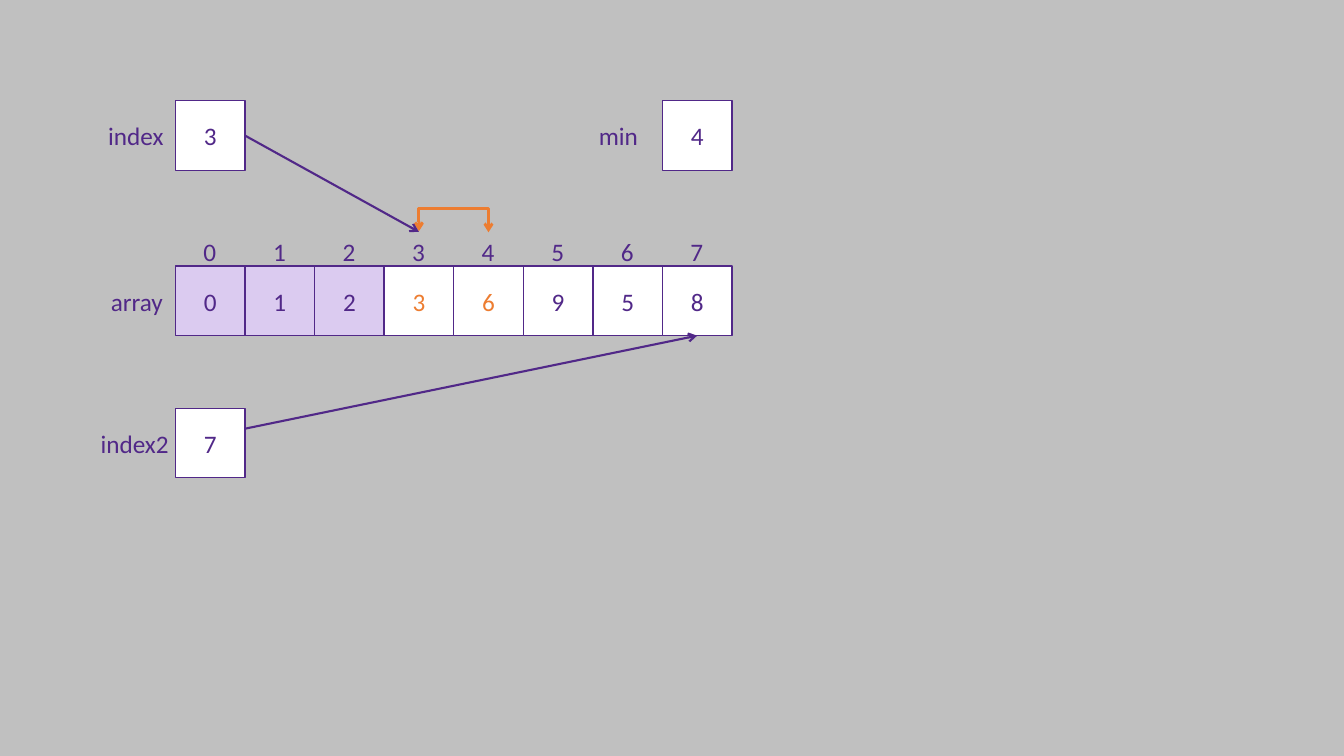
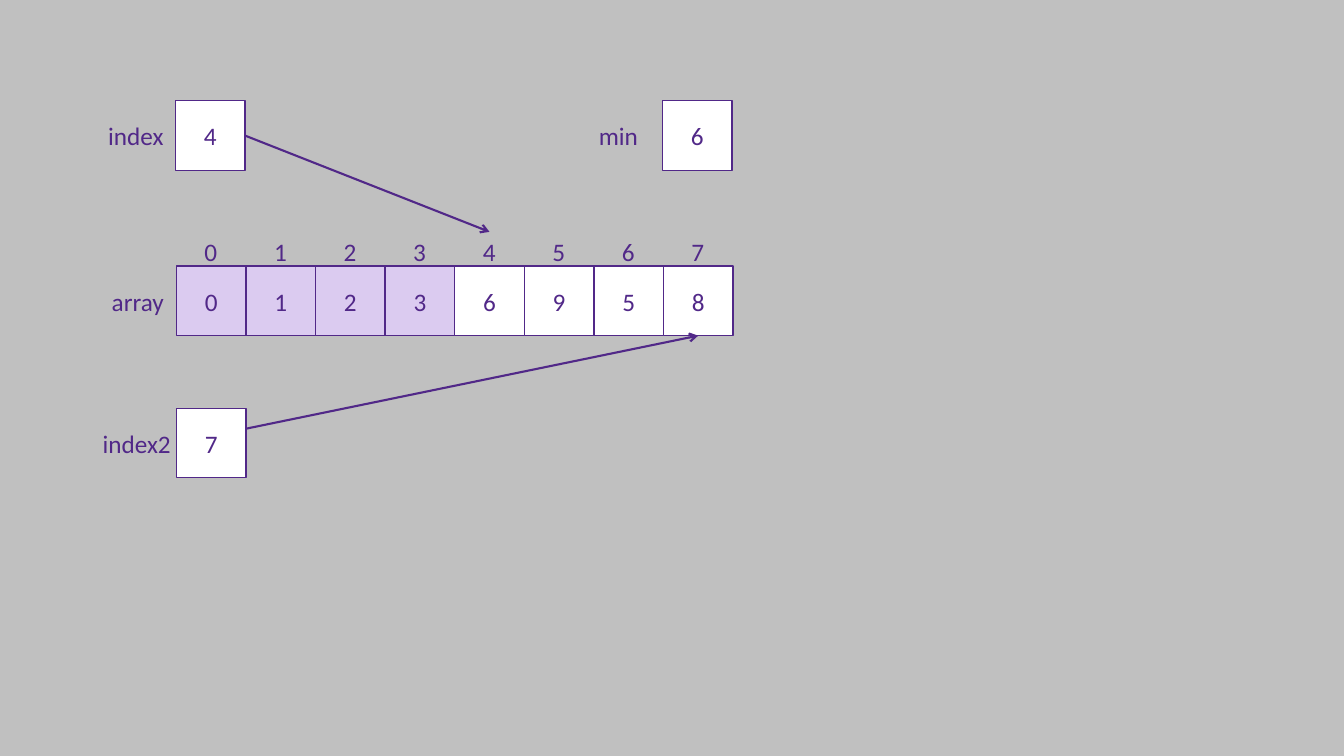
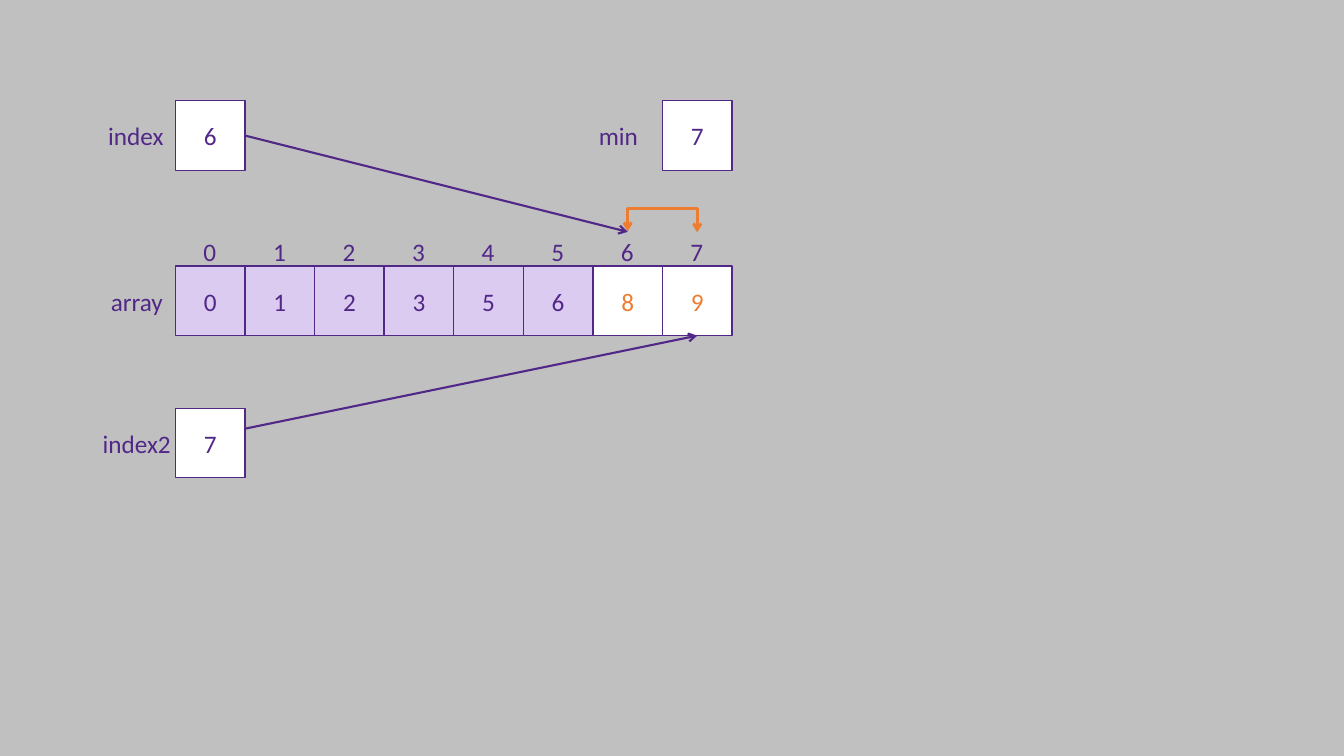
from lxml import etree
from pptx import Presentation
from pptx import util as u
from pptx.dml.color import RGBColor
from pptx.enum import shapes, text
from pptx.oxml import ns

COLORS = {
    "background": "C0C0C0",
    "ink": "512888",
    "sorted": "DBCBF0",
    "open": "FFFFFF",
    "swap": "ED7D31",
}
FONT = {"name": "Calibri", "size": u.Pt(18)}

# Shared grid: one array cell is the column unit
CELL = 0.69
GRID_LEFT = 1.74
LAST_COLUMN = 7
LABEL_HEIGHT = 0.4
ROWS = {"variables": 1, "numbers": 2.3, "array": 2.64, "index2": 4.05}

STEPS = [
    {"values": [0, 1, 2, 3, 6, 9, 5, 8], "index": 3, "min": 4,
     "swap": (3, 4), "array_left": 1.74, "index2_left": 0.9},
    {"values": [0, 1, 2, 3, 6, 9, 5, 8], "index": 4, "min": 6,
     "swap": (), "array_left": 1.75, "index2_left": 0.92},
    {"values": [0, 1, 2, 3, 5, 6, 8, 9], "index": 6, "min": 7,
     "swap": (6, 7), "array_left": 1.74, "index2_left": 0.92},
]


def color(name):
    return RGBColor.from_string(COLORS[name])


def column(left, number):
    """Left edge of a grid column; halves give cell centres."""
    return left + number * CELL


def write(shape, content, ink="ink", align=text.PP_ALIGN.LEFT):
    paragraph = shape.text_frame.paragraphs[0]
    paragraph.alignment = align
    run = paragraph.add_run()
    run.text = str(content)
    for name, value in FONT.items():
        setattr(run.font, name, value)
    run.font.color.rgb = color(ink)


def add_cell(parent, left, top, content, fill="open", ink="ink"):
    cell = parent.add_shape(shapes.MSO_SHAPE.RECTANGLE,
                            *map(u.Inches, (left, top, CELL, CELL)))
    cell.shadow.inherit = False
    cell.fill.solid()
    cell.fill.fore_color.rgb = color(fill)
    cell.line.color.rgb = color("ink")
    cell.line.width = u.Pt(1)
    cell.text_frame.vertical_anchor = text.MSO_ANCHOR.MIDDLE
    write(cell, content, ink, text.PP_ALIGN.CENTER)


def add_label(parent, left, top, width, content, wrap=False,
              align=text.PP_ALIGN.LEFT):
    label = parent.add_textbox(*map(u.Inches, (left, top, width, LABEL_HEIGHT)))
    frame_format = {"word_wrap": wrap,
                    "auto_size": text.MSO_AUTO_SIZE.SHAPE_TO_FIT_TEXT}
    for name, value in frame_format.items():
        setattr(label.text_frame, name, value)
    write(label, content, align=align)


def add_arrow(parent, start, end, ink="ink", width=1.5, ends=("tailEnd",),
              kind=shapes.MSO_CONNECTOR.STRAIGHT):
    arrow = parent.add_connector(kind, *map(u.Inches, (*start, *end)))
    arrow.line.color.rgb = color(ink)
    arrow.line.width = u.Pt(width)
    line = arrow.line._get_or_add_ln()
    for end_name in ends:
        etree.SubElement(line, ns.qn(f"a:{end_name}"), type="arrow")
    etree.SubElement(arrow._element.spPr, ns.qn("a:effectLst"))
    return arrow


def add_swap_bracket(parent, left, pair):
    """Two-headed elbow above a pair of neighbouring cells."""
    middle = column(left, sum(pair) / 2 + 0.5)
    base, depth, rise = ROWS["numbers"], 0.01, 0.24
    span = (pair[1] - pair[0]) * CELL
    bracket = add_arrow(parent,
                        (middle - depth / 2, base + span / 2),
                        (middle + depth / 2, base - span / 2),
                        "swap", 2, ("headEnd", "tailEnd"),
                        shapes.MSO_CONNECTOR.ELBOW)
    # A quarter turn lets the elbow rise; the guide sets how far
    properties = bracket._element.spPr
    properties.find(ns.qn("a:xfrm")).set("rot", str(270 * 60000))
    guides = properties.find(ns.qn("a:prstGeom")).find(ns.qn("a:avLst"))
    etree.SubElement(guides, ns.qn("a:gd"), name="adj1",
                     fmla=f"val {round(rise / depth * 100000)}")


def add_array(parent, step):
    """Array cells, their numbers, and the index2 pointer."""
    left = step["array_left"]
    for number, value in enumerate(step["values"]):
        add_cell(parent, column(left, number), ROWS["array"], value,
                 "sorted" if number < step["index"] else "open",
                 "swap" if number in step["swap"] else "ink")
    add_label(parent, left - 0.74, ROWS["array"] + 0.15, 0.72, "array")

    add_label(parent, step["index2_left"], ROWS["index2"] + 0.15, 1, "index2",
              wrap=True)
    add_arrow(parent, (left, ROWS["index2"] + CELL / 2),
              (column(left, LAST_COLUMN + 0.5), ROWS["array"] + CELL))
    add_cell(parent, left, ROWS["index2"], LAST_COLUMN)

    for number in range(len(step["values"])):
        add_label(parent, column(left, number) + 0.18, ROWS["numbers"], 0.33,
                  number)


def add_variables(parent, step):
    """The min and index boxes, and the index pointer."""
    top = ROWS["variables"]
    min_left = column(GRID_LEFT, LAST_COLUMN)
    add_cell(parent, min_left, top, step["min"])
    add_label(parent, min_left - 0.73, top + 0.14, 0.59, "min")
    add_label(parent, GRID_LEFT - 0.82, top + 0.14, 0.8, "index", wrap=True,
              align=text.PP_ALIGN.RIGHT)
    add_cell(parent, GRID_LEFT, top, step["index"])
    add_arrow(parent, (column(GRID_LEFT, 1), top + CELL / 2),
              (column(step["array_left"], step["index"] + 0.5), ROWS["numbers"]))


def add_step_slide(presentation, step):
    slide = presentation.slides.add_slide(presentation.slide_layouts[6])
    add_array(slide.shapes.add_group_shape().shapes, step)
    if step["swap"]:
        add_swap_bracket(slide.shapes, step["array_left"], step["swap"])
    add_variables(slide.shapes, step)


def main():
    presentation = Presentation()
    presentation.slide_width = u.Inches(13.33)
    presentation.slide_height = u.Inches(7.5)
    background = presentation.slide_master.background.fill
    background.solid()
    background.fore_color.rgb = color("background")
    for step in STEPS:
        add_step_slide(presentation, step)
    presentation.save("out.pptx")


if __name__ == "__main__":
    main()
